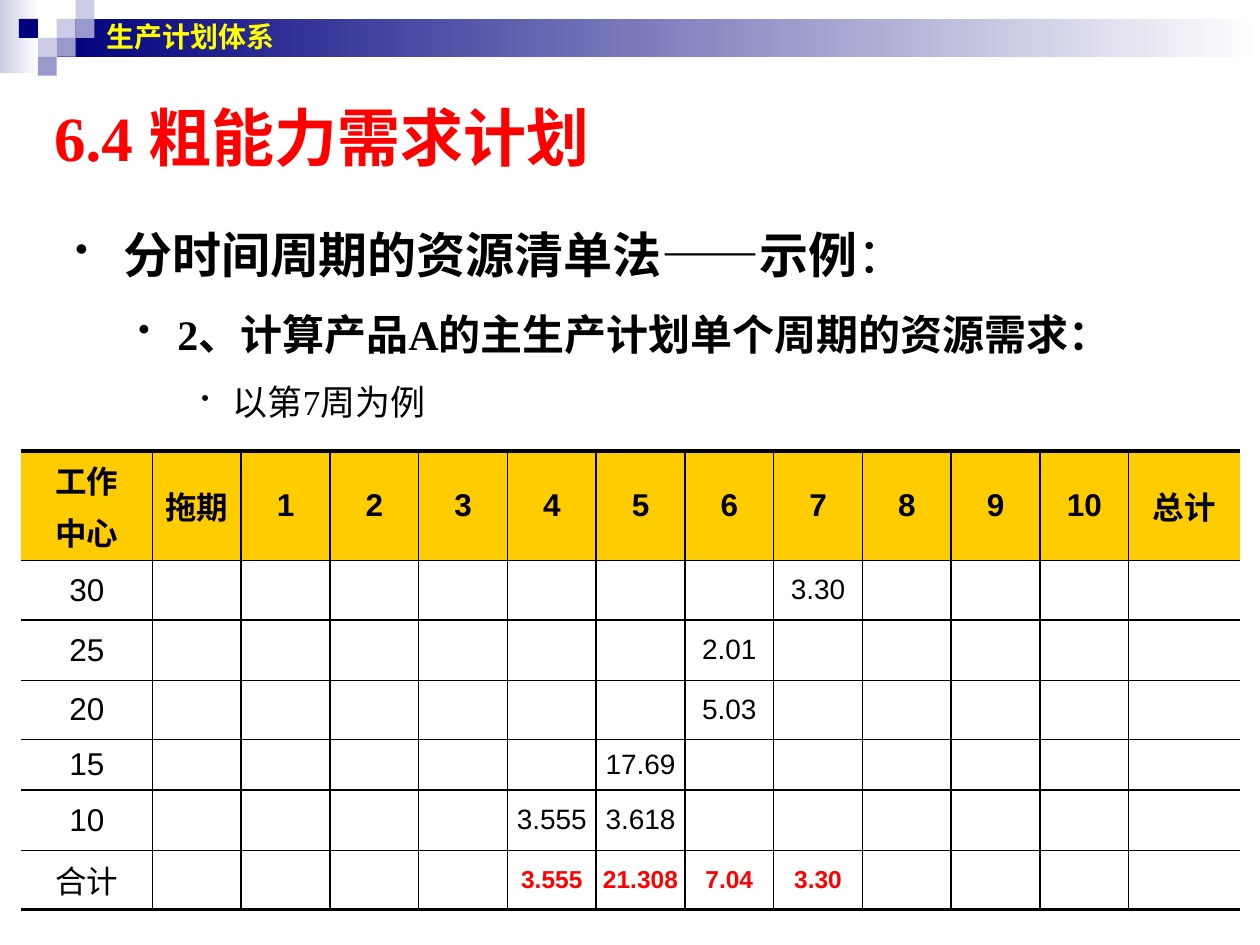
from lxml import etree
from pptx import Presentation
from pptx.dml.color import RGBColor
from pptx.enum.shapes import MSO_SHAPE as Shape
from pptx.enum.text import MSO_ANCHOR as Anchor, PP_ALIGN as Align
from pptx.oxml.ns import qn
from pptx.util import Inches, Pt

BLACK, WHITE, RED, YELLOW, GOLD = "000000", "FFFFFF", "FF0000", "FFFF00", "FFCC00"
NAVY, LILAC, VIOLET = "00007D", "CCCCE6", "9999CC"
SERIF, SANS = "Times New Roman", "Arial"

BANNER = "生产计划体系"
TITLE = "6.4 粗能力需求计划"
# runs of (text, bold), size, text indent, hanging indent, bullet size in percent
BULLETS = [
    ([("分时间周期的资源清单法——示例", True), ("：", False)], 28, 0.38, 0.38, 75),
    ([("2、计算产品A的主生产计划单个周期的资源需求：", True)], 24, 0.81, 0.31, 80),
    ([("以第7周为例", False)], 20, 1.25, 0.25, 65),
]

HEADINGS = ["工作\n中心", "拖期", *map(str, range(1, 11)), "总计"]
# work centre, {week: hours}
LOADS = [
    ("30", {7: "3.30"}),
    ("25", {6: "2.01"}),
    ("20", {6: "5.03"}),
    ("15", {5: "17.69"}),
    ("10", {4: "3.555", 5: "3.618"}),
    ("合计", {4: "3.555", 5: "21.308", 6: "7.04", 7: "3.30"}),
]
TABLE_WIDTH, CENTER_WIDTH, TOTAL_WIDTH = 9.67, 1.04, 0.88
PERIOD_COUNT = len(HEADINGS) - 2
PERIOD_WIDTH = (TABLE_WIDTH - CENTER_WIDTH - TOTAL_WIDTH) / PERIOD_COUNT
COLUMN_WIDTHS = [CENTER_WIDTH] + [PERIOD_WIDTH] * PERIOD_COUNT + [TOTAL_WIDTH]
# the heading row is tall enough for two lines
ROW_HEIGHTS = [0.87, 0.47, 0.48, 0.47, 0.4, 0.48, 0.47]

# left, top, width, height, gradient start
GRADIENT_BARS = [(0, 0, 0.31, 0.58, LILAC), (0.45, 0.15, 9.55, 0.3, NAVY)]
SQUARE = 0.15
# column and row on the grid of squares
SQUARES = [(3, 1, LILAC), (4, 0, LILAC), (4, 1, VIOLET), (2, 2, LILAC),
           (1, 1, NAVY), (3, 2, VIOLET), (2, 3, VIOLET)]


def rgb(color):
    return RGBColor.from_string(color)


def add_rect(slide, left, top, width, height, color, fade_to=None):
    rect = slide.shapes.add_shape(
        Shape.RECTANGLE, Inches(left), Inches(top), Inches(width), Inches(height))
    rect.shadow.inherit = False
    rect.line.fill.background()
    if fade_to:
        rect.fill.gradient()
        rect.fill.gradient_angle = 0
        for stop, position, shade in zip(rect.fill.gradient_stops, (0, 1), (color, fade_to)):
            stop.position = position
            stop.color.rgb = rgb(shade)
    else:
        rect.fill.solid()
        rect.fill.fore_color.rgb = rgb(color)


def write(para, text, size, font=SANS, color=BLACK, bold=False):
    span = para.add_run()
    span.text = text
    span.font.size = Pt(size)
    span.font.name = font
    span.font.bold = bold
    span.font.color.rgb = rgb(color)


def add_text_box(slide, left, top, width, height, anchor=Anchor.TOP):
    box = slide.shapes.add_textbox(Inches(left), Inches(top), Inches(width), Inches(height))
    box.text_frame.word_wrap = True
    box.text_frame.vertical_anchor = anchor
    return box.text_frame


def set_bullet(para, indent, hanging, percent):
    props = para._p.get_or_add_pPr()
    props.set("marL", str(Inches(indent)))
    props.set("indent", str(-Inches(hanging)))
    color = etree.SubElement(props, qn("a:buClr"))
    etree.SubElement(color, qn("a:srgbClr"), val=BLACK)
    etree.SubElement(props, qn("a:buSzPct"), val=str(percent * 1000))
    etree.SubElement(props, qn("a:buChar"), char="•")


def set_borders(cell, **widths):
    """Draw black borders of the given widths in points; 0 means no line."""
    props = cell._tc.get_or_add_tcPr()
    for side in "LRTB":
        line = etree.SubElement(props, qn(f"a:ln{side}"), w=str(Pt(widths[side])))
        if widths[side]:
            fill = etree.SubElement(line, qn("a:solidFill"))
            etree.SubElement(fill, qn("a:srgbClr"), val=BLACK)
        else:
            etree.SubElement(line, qn("a:noFill"))


def fill_cell(cell, text, size, **style):
    cell.vertical_anchor = Anchor.MIDDLE
    cell.margin_left = cell.margin_right = Inches(0.04)
    cell.margin_top = cell.margin_bottom = Inches(0.05)
    frame = cell.text_frame
    for i, line in enumerate(text.split("\n") if text else []):
        para = frame.add_paragraph() if i else frame.paragraphs[0]
        para.alignment = Align.CENTER
        if i:
            para.space_before = Pt(size * 0.2)
        write(para, line, size, **style)


def add_load_table(slide):
    rows, columns = len(ROW_HEIGHTS), len(COLUMN_WIDTHS)
    table = slide.shapes.add_table(
        rows, columns, Inches(0.17), Inches(3.58),
        Inches(TABLE_WIDTH), Inches(sum(ROW_HEIGHTS))).table
    table.first_row = table.horz_banding = False
    for column, width in zip(table.columns, COLUMN_WIDTHS):
        column.width = Inches(width)
    for row, height in zip(table.rows, ROW_HEIGHTS):
        row.height = Inches(height)

    weeks = range(1, 11)
    grid = [HEADINGS] + [
        [center, "", *(hours.get(week, "") for week in weeks), ""] for center, hours in LOADS]
    last_row, last_column = rows - 1, columns - 1
    for r, texts in enumerate(grid):
        for c, text in enumerate(texts):
            cell = table.cell(r, c)
            set_borders(cell, L=1 if c else 0, R=1 if c < last_column else 0,
                        T=1 if r else 2.25, B=1 if r < last_row else 2.25)
            if r == 0:
                cell.fill.solid()
                cell.fill.fore_color.rgb = rgb(GOLD)
                fill_cell(cell, text, 18, bold=True)
                continue
            cell.fill.background()
            if c == 0:
                fill_cell(cell, text, 18)
            elif r == last_row:
                fill_cell(cell, text, 14, color=RED, bold=True)
            else:
                fill_cell(cell, text, 16)


def main():
    deck = Presentation()
    deck.slide_width, deck.slide_height = Inches(10), Inches(7.5)
    slide = deck.slides.add_slide(deck.slide_layouts[5])

    for *place, color in GRADIENT_BARS:
        add_rect(slide, *place, color, fade_to=WHITE)
    for column, row, color in SQUARES:
        add_rect(slide, column * SQUARE, row * SQUARE, SQUARE, SQUARE, color)

    title = slide.shapes.title
    title.left, title.top = Inches(0.33), Inches(0.75)
    title.width, title.height = Inches(9), Inches(0.67)
    title.text_frame.vertical_anchor = Anchor.MIDDLE
    heading = title.text_frame.paragraphs[0]
    heading.alignment = Align.LEFT
    write(heading, TITLE, 36, font=SERIF, color=RED, bold=True)

    body = add_text_box(slide, 0.5, 1.5, 9.17, 2)
    for level, (runs, size, indent, hanging, percent) in enumerate(BULLETS):
        para = body.add_paragraph() if level else body.paragraphs[0]
        para.level = level
        para.line_spacing = 1.5
        set_bullet(para, indent, hanging, percent)
        for text, bold in runs:
            write(para, text, size, font=SERIF, bold=bold)

    banner = add_text_box(slide, 0.75, 0, 8.83, 0.58, Anchor.MIDDLE)
    write(banner.paragraphs[0], BANNER, 16, color=YELLOW, bold=True)

    add_load_table(slide)
    deck.save("out.pptx")


if __name__ == "__main__":
    main()
